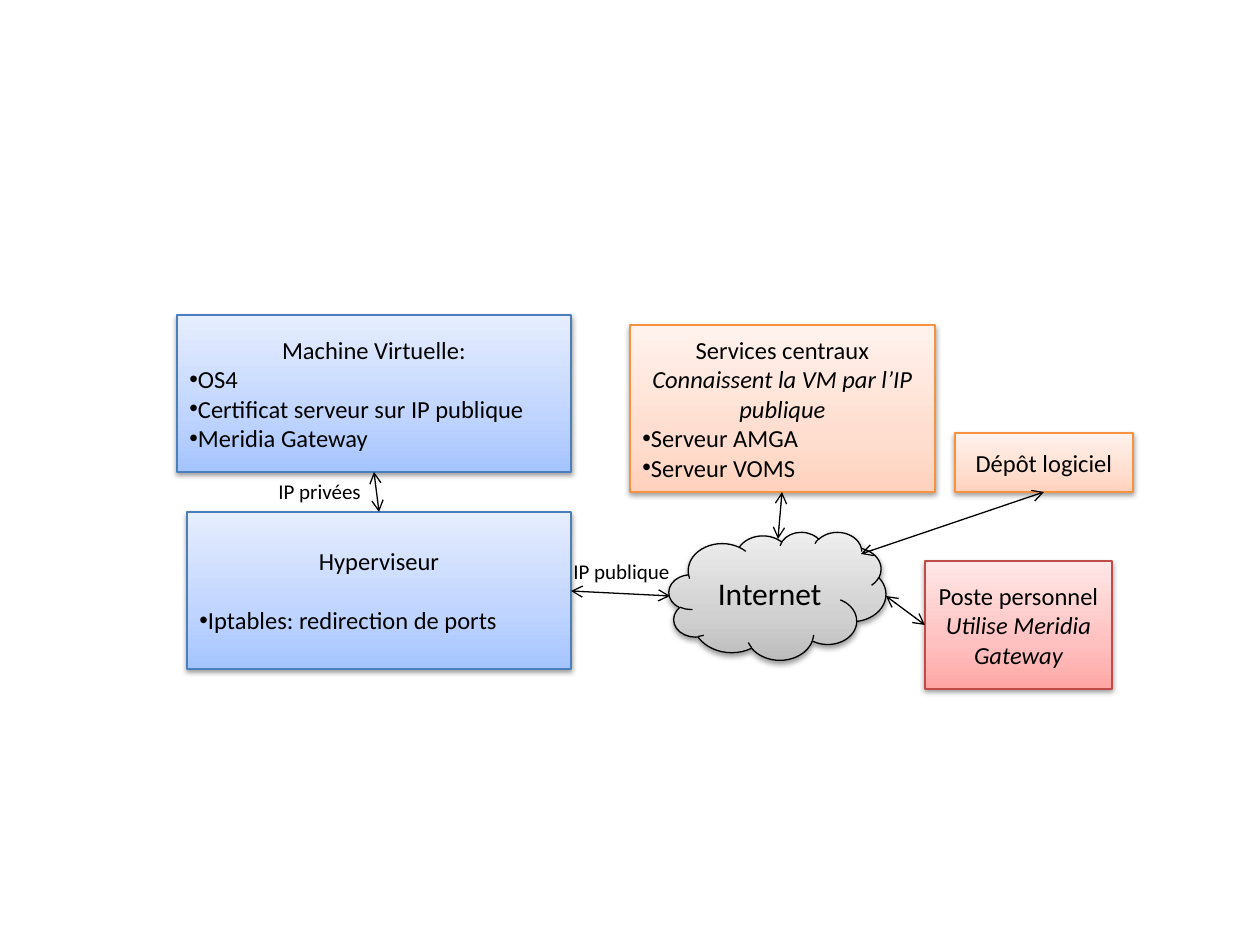
from copy import deepcopy

from lxml import etree
from pptx import Presentation
from pptx.dml.color import RGBColor
from pptx.enum.shapes import MSO_CONNECTOR, MSO_SHAPE
from pptx.enum.text import MSO_ANCHOR, MSO_AUTO_SIZE, PP_ALIGN
from pptx.oxml.ns import qn
from pptx.util import Pt

RECTANGLE, CLOUD = MSO_SHAPE.RECTANGLE, MSO_SHAPE.CLOUD
STRAIGHT = MSO_CONNECTOR.STRAIGHT
MIDDLE = MSO_ANCHOR.MIDDLE
GROW = MSO_AUTO_SIZE.SHAPE_TO_FIT_TEXT
LEFT, CENTER = PP_ALIGN.LEFT, PP_ALIGN.CENTER
BLACK = RGBColor(0x00, 0x00, 0x00)


def palette(line, *stops):
    return RGBColor.from_string(line), [RGBColor.from_string(stop) for stop in stops]


BLUE = palette("4B7EBC", "A4C4FF", "BFD4FF", "E6EEFF")
ORANGE = palette("F69240", "FFD2BD", "FFDED0", "FFF2ED")
RED = palette("BF4C48", "FFA6A5", "FFC0BF", "FFE7E7")
GRAY = palette("000000", "BDBDBD", "D1D1D1", "EEEEEE")


class Diagram:
    """Holds the style and the current slide, and draws each kind of element."""

    font = "Calibri"
    scale = 914400 / 126
    line_width = Pt(0.75)
    positions = (0, 0.35, 1)

    def __init__(self, slide):
        self.slide = slide

    def emu(self, *pixels):
        return [round(pixel * self.scale) for pixel in pixels]

    def add_span(self, para, text, size, italic=False):
        span = para.add_run()
        span.text = text
        span.font.name = self.font
        span.font.size = Pt(size)
        span.font.italic = italic
        span.font.color.rgb = BLACK

    def shade(self, box, stops):
        box.fill.gradient()
        box.fill.gradient_angle = 90
        stop_list = box._element.spPr.find(".//" + qn("a:gsLst"))
        stop_list.append(deepcopy(stop_list[0]))
        for stop, color, position in zip(box.fill.gradient_stops, stops, self.positions):
            stop.color.rgb = color
            stop.position = position

    def cast_shadow(self, box):
        box.shadow.inherit = False
        effects = box._element.spPr.find(qn("a:effectLst"))
        shadow = etree.SubElement(effects, qn("a:outerShdw"), blurRad="40000",
                                  dist="20000", dir="5400000", rotWithShape="0")
        color = etree.SubElement(shadow, qn("a:srgbClr"), val="000000")
        etree.SubElement(color, qn("a:alpha"), val="38000")

    def box(self, area, colors, title, note="", bullets=(), gap=0, size=14, outline=RECTANGLE):
        line, stops = colors
        box = self.slide.shapes.add_shape(outline, *self.emu(*area))
        self.shade(box, stops)
        self.cast_shadow(box)
        box.line.color.rgb = line
        box.line.width = self.line_width
        frame = box.text_frame
        frame.word_wrap = True
        frame.vertical_anchor = MIDDLE
        para = frame.paragraphs[0]
        para.alignment = CENTER
        self.add_span(para, title, size)
        if note:
            para = frame.add_paragraph()
            para.alignment = CENTER
            self.add_span(para, note, size, italic=True)
        for text in bullets:
            para = frame.add_paragraph()
            para.alignment = LEFT
            para.space_before = Pt(gap)
            properties = para._p.get_or_add_pPr()
            etree.SubElement(properties, qn("a:buFont"), typeface="Arial")
            etree.SubElement(properties, qn("a:buChar"), char="•")
            self.add_span(para, text, size)

    def label(self, area, text, size=12):
        box = self.slide.shapes.add_textbox(*self.emu(*area))
        box.text_frame.word_wrap = False
        box.text_frame.auto_size = GROW
        self.add_span(box.text_frame.paragraphs[0], text, size)

    def arrow(self, *ends):
        arrow = self.slide.shapes.add_connector(STRAIGHT, *self.emu(*ends))
        arrow.line.color.rgb = BLACK
        arrow.line.width = self.line_width
        line = arrow._element.spPr.find(qn("a:ln"))
        for end in ("a:headEnd", "a:tailEnd"):
            etree.SubElement(line, qn(end), type="arrow")
        etree.SubElement(arrow._element.spPr, qn("a:effectLst"))


deck = Presentation()
deck.slide_width, deck.slide_height = Diagram(None).emu(1260, 945)
page = Diagram(deck.slides.add_slide(deck.slide_layouts[6]))

page.box((187, 512, 384, 157), BLUE, "Hyperviseur",
         bullets=["Iptables: redirection de ports"], gap=17)
page.box((177, 315, 394, 157), BLUE, "Machine Virtuelle:",
         bullets=["OS4", "Certificat serveur sur IP publique", "Meridia Gateway"])
page.label((561, 552, 122, 37), "IP publique")
page.label((266, 472, 108, 37), "IP privées")
page.box((669, 532, 217, 128), GRAY, "Internet", size=18, outline=CLOUD)
page.box((630, 325, 305, 167), ORANGE, "Services centraux",
         note="Connaissent la VM par l’IP publique",
         bullets=["Serveur AMGA", "Serveur VOMS"])
page.box((925, 561, 187, 128), RED, "Poste personnel", note="Utilise Meridia Gateway")
page.box((955, 433, 178, 59), ORANGE, "Dépôt logiciel")

for ends in (
    (374, 472, 379, 512),
    (571, 591, 670, 596),
    (782, 492, 778, 539),
    (886, 596, 925, 625),
    (1044, 492, 861, 554),
):
    page.arrow(*ends)

deck.save("out.pptx")
